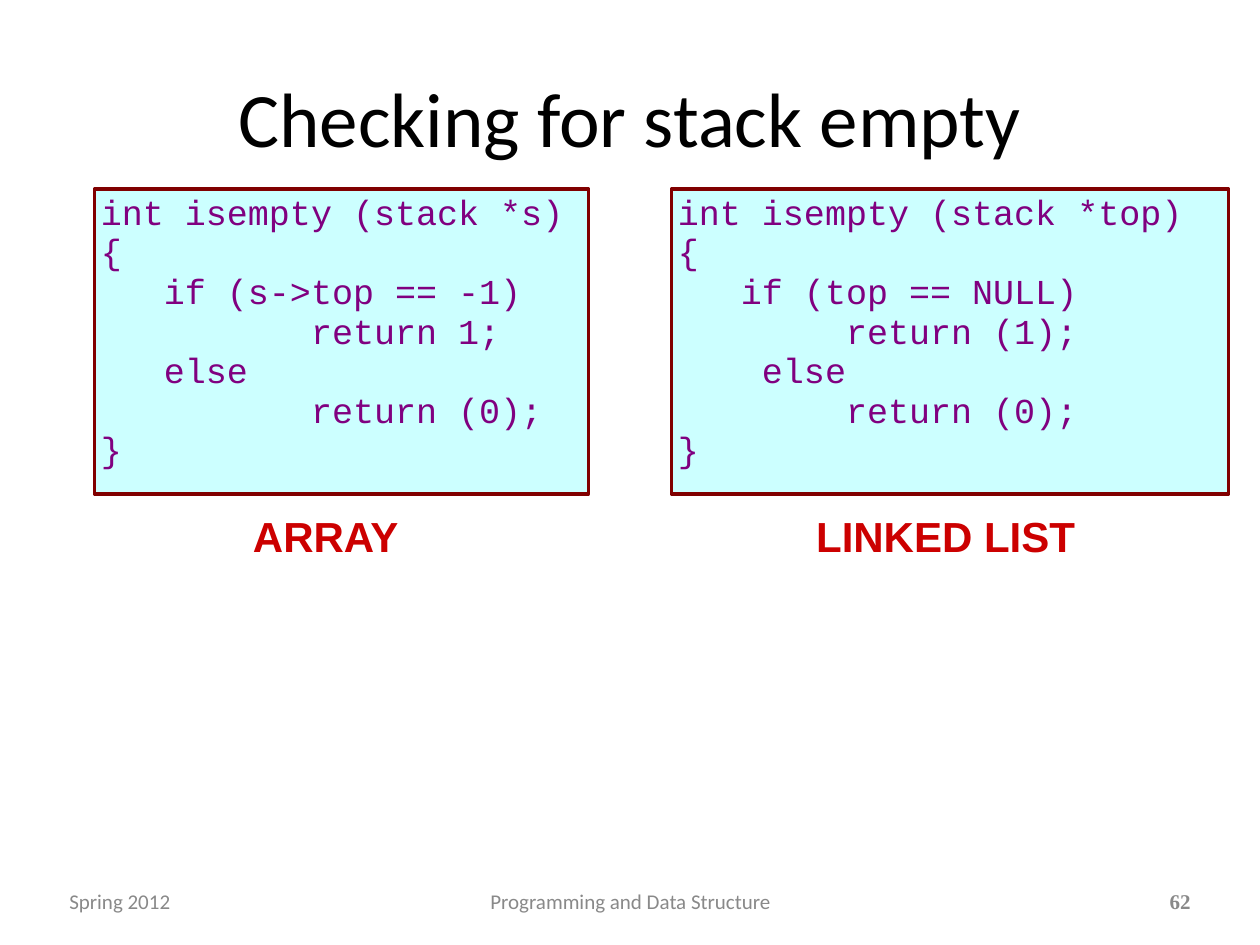
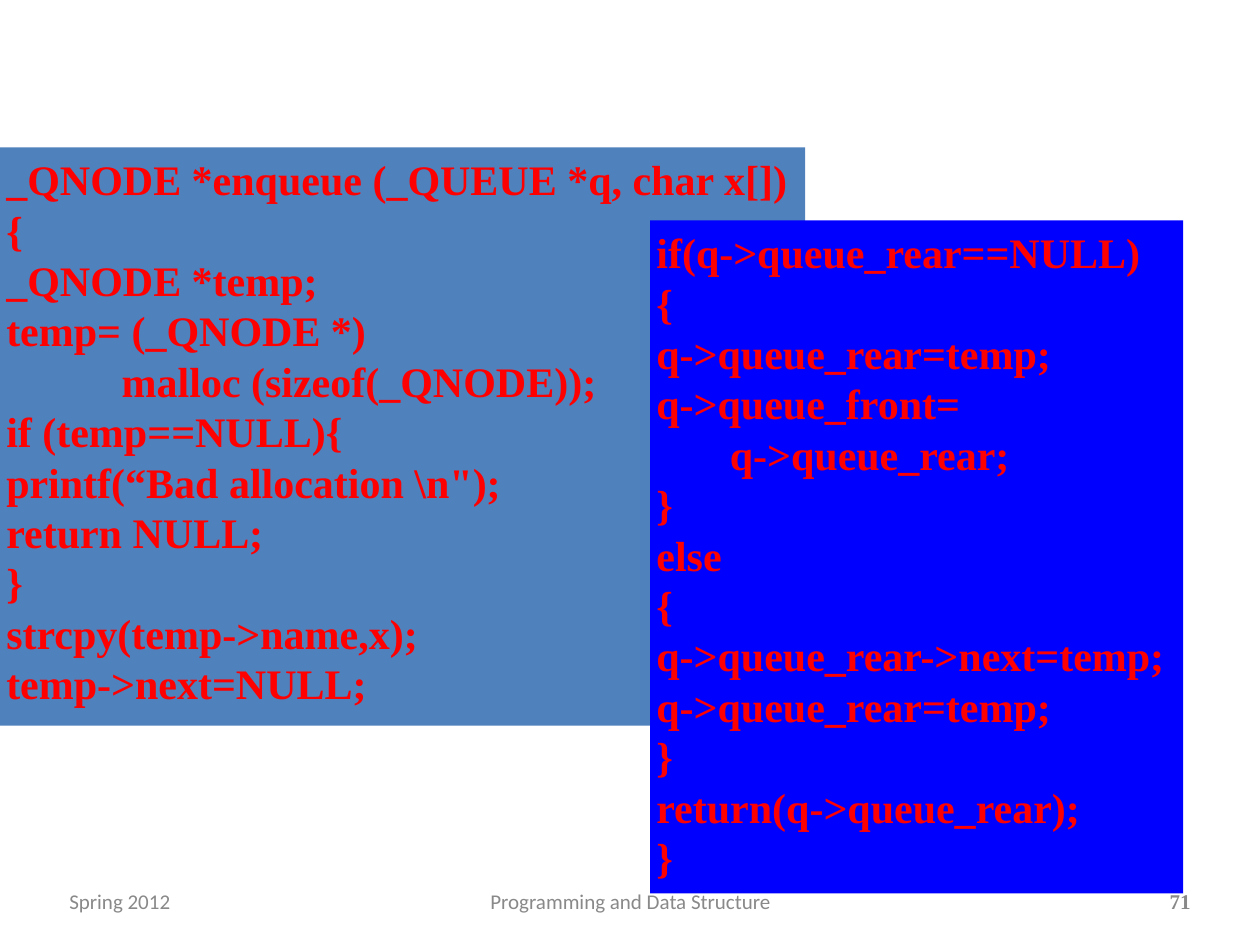
from pptx import Presentation
from pptx.dml.color import RGBColor
from pptx.enum import shapes, text
from pptx.util import Inches, Pt

# Shared colours
BLACK = RGBColor(0x00, 0x00, 0x00)
GREY = RGBColor(0x89, 0x89, 0x89)
PALE_CYAN = RGBColor(0xCC, 0xFF, 0xFF)
MAROON = RGBColor(0x80, 0x00, 0x00)
PURPLE = RGBColor(0x80, 0x00, 0x80)
CRIMSON = RGBColor(0xCC, 0x00, 0x00)
STEEL = RGBColor(0x4F, 0x81, 0xBD)
BLUE = RGBColor(0x00, 0x00, 0xFF)
RED = RGBColor(0xFF, 0x00, 0x00)

LEFT, CENTER, RIGHT = text.PP_ALIGN.LEFT, text.PP_ALIGN.CENTER, text.PP_ALIGN.RIGHT
TOP, MIDDLE = text.MSO_ANCHOR.TOP, text.MSO_ANCHOR.MIDDLE

# Shared text formats
TITLE = dict(name="Calibri", size=Pt(44), bold=False)
FOOTER = dict(name="Calibri", size=Pt(12), bold=False)
PAGE = dict(name="Times New Roman", size=Pt(12), bold=True)
CODE = dict(name="Courier New", size=Pt(20), bold=False)
LABEL = dict(name="Arial", size=Pt(24), bold=True)
LISTING = dict(name="Times New Roman", size=Pt(24), bold=True)


def write(shape, lines, font, color, align=LEFT, anchor=TOP, wrap=True):
    """Fill a shape with one paragraph per line, all in the same format."""
    frame = shape.text_frame
    margins = {f"margin_{side}": Inches(0.05) for side in ("left", "top", "right", "bottom")}
    settings = dict(margins, word_wrap=wrap, vertical_anchor=anchor,
                    auto_size=text.MSO_AUTO_SIZE.NONE)
    for key, value in settings.items():
        setattr(frame, key, value)
    for number, line in enumerate(lines):
        paragraph = frame.add_paragraph() if number else frame.paragraphs[0]
        paragraph.alignment = align
        run = paragraph.add_run()
        run.text = line
        for key, value in font.items():
            setattr(run.font, key, value)
        run.font.color.rgb = color


def add_panel(slide, box, fill, border=None):
    """Add a filled rectangle, with a border if a colour is given."""
    panel = slide.shapes.add_shape(shapes.MSO_SHAPE.RECTANGLE, *map(Inches, box))
    panel.shadow.inherit = False
    panel.fill.solid()
    panel.fill.fore_color.rgb = fill
    if border is None:
        panel.line.fill.background()
    else:
        panel.line.color.rgb = border
        panel.line.width = Pt(2)
    return panel


deck = Presentation()
deck.slide_width, deck.slide_height = Inches(10), Inches(7.5)
empty_check = deck.slides.add_slide(deck.slide_layouts[5])
enqueue = deck.slides.add_slide(deck.slide_layouts[6])

# Title of the first slide
heading = empty_check.shapes.title
heading.left, heading.top = Inches(0.5), Inches(0.3)
heading.width, heading.height = Inches(9), Inches(1.25)
write(heading, ["Checking for stack empty"], TITLE, BLACK, CENTER, MIDDLE)

# Footers of both slides
for slide, page in ((empty_check, "62"), (enqueue, "71")):
    for left, width, words, font, align in (
        (0.5, 2.33, "Spring 2012", FOOTER, LEFT),
        (3.42, 3.17, "Programming and Data Structure", FOOTER, CENTER),
        (9.22, 0.28, page, PAGE, RIGHT),
    ):
        footer = slide.shapes.add_textbox(Inches(left), Inches(7), Inches(width), Inches(0.3))
        write(footer, [words], font, GREY, align, MIDDLE, wrap=words != page)

# Array and linked-list versions side by side, each with its label
ARRAY_CODE = [
    "int isempty (stack *s)",
    "{",
    "   if (s->top == -1)",
    "          return 1;",
    "   else",
    "          return (0);",
    "}",
]
LIST_CODE = [
    "int isempty (stack *top)",
    "{",
    "   if (top == NULL)",
    "        return (1);",
    "    else",
    "        return (0);",
    "}",
]
for left, width, code, label, label_left, label_width in (
    (0.75, 3.92, ARRAY_CODE, "ARRAY", 1.67, 1.83),
    (5.33, 4.42, LIST_CODE, "LINKED LIST", 5.92, 3.17),
):
    version = add_panel(empty_check, (left, 1.5, width, 2.42), PALE_CYAN, MAROON)
    write(version, code, CODE, PURPLE)
    for number, paragraph in enumerate(version.text_frame.paragraphs):
        paragraph.line_spacing = 0.9
        paragraph.space_before = Pt(1 if number else 0)
    caption = empty_check.shapes.add_textbox(
        Inches(label_left), Inches(4), Inches(label_width), Inches(0.48))
    write(caption, [label], LABEL, CRIMSON, CENTER)

# Enqueue function, split over two overlapping panels
NEW_NODE = [
    "_QNODE *enqueue (_QUEUE *q, char x[])",
    "{",
    "_QNODE *temp;",
    "temp= (_QNODE *)",
    "           malloc (sizeof(_QNODE));",
    "if (temp==NULL){",
    "printf(“Bad allocation \\n\");",
    "return NULL;",
    "}",
    "strcpy(temp->name,x);",
    "temp->next=NULL;",
]
LINK_NODE = [
    "if(q->queue_rear==NULL)",
    "{",
    "q->queue_rear=temp;",
    "q->queue_front=",
    "       q->queue_rear;",
    "}",
    "else",
    "{",
    "q->queue_rear->next=temp;",
    "q->queue_rear=temp;",
    "}",
    "return(q->queue_rear);",
    "}",
]
for box, fill, code in (
    ((0, 1.17, 6.39, 4.59), STEEL, NEW_NODE),
    ((5.16, 1.75, 4.23, 5.34), BLUE, LINK_NODE),
):
    write(add_panel(enqueue, box, fill), code, LISTING, RED)

deck.save("out.pptx")
